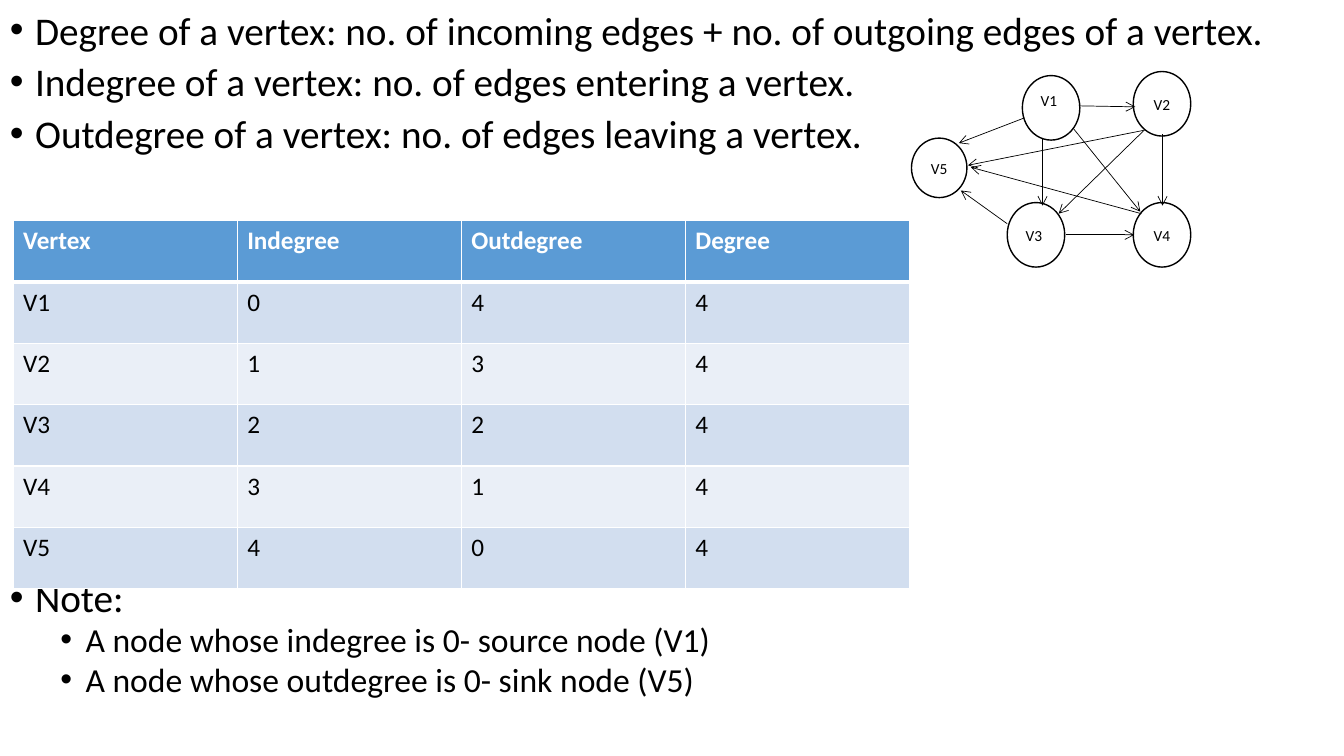
from dataclasses import dataclass

from lxml.etree import Element, SubElement
from pptx import Presentation
from pptx.dml.color import RGBColor
from pptx.enum.shapes import MSO_CONNECTOR, MSO_SHAPE
from pptx.enum.text import MSO_ANCHOR, PP_ALIGN
from pptx.oxml.ns import qn
from pptx.slide import Slide
from pptx.text.text import Font
from pptx.util import Inches, Pt

BLACK = RGBColor(0x00, 0x00, 0x00)
WHITE = RGBColor(0xFF, 0xFF, 0xFF)
HEADER_BLUE = RGBColor(0x5B, 0x9B, 0xD5)
BAND_DARK = RGBColor(0xD2, 0xDE, 0xEF)
BAND_LIGHT = RGBColor(0xEA, 0xEF, 0xF7)
FONT_NAME = "Calibri"


@dataclass(frozen=True)
class Bullet:
    text: str
    level: int = 0


@dataclass(frozen=True)
class Vertex:
    label: str
    left: float
    top: float
    width: float = 0.57
    height: float = 0.64
    align: PP_ALIGN = PP_ALIGN.CENTER
    bottom_inset: float = 0.05


@dataclass(frozen=True)
class Edge:
    start: tuple[float, float]
    end: tuple[float, float]


DEFINITIONS = [
    Bullet("Degree of a vertex: no. of incoming edges + no. of outgoing edges of a vertex."),
    Bullet("Indegree of a vertex: no. of edges entering a vertex."),
    Bullet("Outdegree of a vertex: no. of edges leaving a vertex."),
]
NOTES = [
    Bullet("Note:"),
    Bullet("A node whose indegree is 0- source node (V1)", 1),
    Bullet("A node whose outdegree is 0- sink node (V5)", 1),
]
VERTICES = [
    Vertex("V1", 10.14, 0.75, align=PP_ALIGN.LEFT, bottom_inset=0.2),
    Vertex("V2", 11.24, 0.71),
    Vertex("V3", 9.99, 2.01, align=PP_ALIGN.LEFT),
    Vertex("V4", 11.24, 2.01),
    Vertex("V5", 9.04, 1.37, 0.55, 0.59),
]
EDGES = [
    Edge((10.7, 1.05), (11.26, 1.06)),
    Edge((10.34, 1.38), (10.34, 2.04)),
    Edge((10.57, 2.33), (11.25, 2.33)),
    Edge((11.53, 1.33), (11.53, 2.04)),
    Edge((10.16, 1.17), (9.51, 1.42)),
    Edge((9.99, 2.22), (9.53, 1.89)),
    Edge((10.65, 1.28), (11.31, 2.1)),
    Edge((11.34, 1.3), (10.5, 2.12)),
    Edge((11.36, 1.29), (9.6, 1.64)),
    Edge((11.32, 2.12), (9.63, 1.66)),
]
DEGREES = [
    ("Vertex", "Indegree", "Outdegree", "Degree"),
    ("V1", "0", "4", "4"),
    ("V2", "1", "3", "4"),
    ("V3", "2", "2", "4"),
    ("V4", "3", "1", "4"),
    ("V5", "4", "0", "4"),
]


def set_font(font: Font, size: float, color: RGBColor = BLACK, bold: bool = False) -> None:
    font.name = FONT_NAME
    font.size = Pt(size)
    font.color.rgb = color
    font.bold = bold


def add_bullets(page: Slide, top: float, height: float, bullets: list[Bullet]) -> None:
    box = page.shapes.add_textbox(Inches(0), Inches(top), Inches(12.83), Inches(height))
    frame = box.text_frame
    frame.word_wrap = True
    for index, bullet in enumerate(bullets):
        para = frame.paragraphs[0] if index == 0 else frame.add_paragraph()
        para.text = bullet.text
        para.level = bullet.level
        para.line_spacing = 0.8
        para.space_before = Pt(5 if bullet.level else 10)
        set_font(para.font, 24 if bullet.level else 28)
        properties = para._p.get_or_add_pPr()
        properties.set("marL", str(Inches(0.25 + 0.5 * bullet.level)))
        properties.set("indent", str(Inches(-0.25)))
        mark_font = Element(qn("a:buFont"), typeface="Arial")
        mark = Element(qn("a:buChar"), char="•")
        position = properties.index(properties.find(qn("a:defRPr")))
        properties.insert(position, mark_font)
        properties.insert(position + 1, mark)


def add_vertex(page: Slide, vertex: Vertex) -> None:
    circle = page.shapes.add_shape(
        MSO_SHAPE.OVAL,
        Inches(vertex.left), Inches(vertex.top), Inches(vertex.width), Inches(vertex.height),
    )
    circle.shadow.inherit = False
    circle.fill.solid()
    circle.fill.fore_color.rgb = WHITE
    circle.line.color.rgb = BLACK
    circle.line.width = Pt(1)
    frame = circle.text_frame
    frame.vertical_anchor = MSO_ANCHOR.MIDDLE
    frame.margin_bottom = Inches(vertex.bottom_inset)
    para = frame.paragraphs[0]
    para.text = vertex.label
    para.alignment = vertex.align
    para.line_spacing = 1.07
    para.space_after = Pt(8)
    set_font(para.font, 11)


def add_edge(page: Slide, edge: Edge) -> None:
    arrow = page.shapes.add_connector(
        MSO_CONNECTOR.STRAIGHT, *map(Inches, edge.start), *map(Inches, edge.end)
    )
    arrow.line.color.rgb = BLACK
    arrow.line.width = Pt(0.5)
    properties = arrow._element.spPr
    SubElement(properties.find(qn("a:ln")), qn("a:tailEnd"), type="arrow")
    SubElement(properties, qn("a:effectLst"))


def add_degree_table(page: Slide) -> None:
    table = page.shapes.add_table(
        len(DEGREES), len(DEGREES[0]), Inches(0.13), Inches(2.19), Inches(8.89), Inches(3.65)
    ).table
    for row_index, values in enumerate(DEGREES):
        is_header = row_index == 0
        band = BAND_DARK if row_index % 2 else BAND_LIGHT
        widths = {
            "lnL": 1,
            "lnR": 1,
            "lnT": 3 if row_index == 1 else 1,
            "lnB": 3 if is_header else 1,
        }
        for column_index, value in enumerate(values):
            cell = table.cell(row_index, column_index)
            cell.fill.solid()
            cell.fill.fore_color.rgb = HEADER_BLUE if is_header else band
            para = cell.text_frame.paragraphs[0]
            para.text = value
            set_font(para.font, 18, WHITE if is_header else BLACK, is_header)
            properties = cell._tc.get_or_add_tcPr()
            for position, (side, width) in enumerate(widths.items()):
                border = Element(qn(f"a:{side}"), w=str(Pt(width)))
                fill = SubElement(border, qn("a:solidFill"))
                SubElement(fill, qn("a:srgbClr"), val=str(WHITE))
                properties.insert(position, border)


def main() -> None:
    deck = Presentation()
    deck.slide_width = Inches(13.33)
    deck.slide_height = Inches(7.5)
    page = deck.slides.add_slide(deck.slide_layouts[6])
    add_bullets(page, 0.1, 1.7, DEFINITIONS)
    add_bullets(page, 5.73, 1.5, NOTES)
    for vertex in VERTICES:
        add_vertex(page, vertex)
    for edge in EDGES:
        add_edge(page, edge)
    add_degree_table(page)
    deck.save("out.pptx")


if __name__ == "__main__":
    main()
